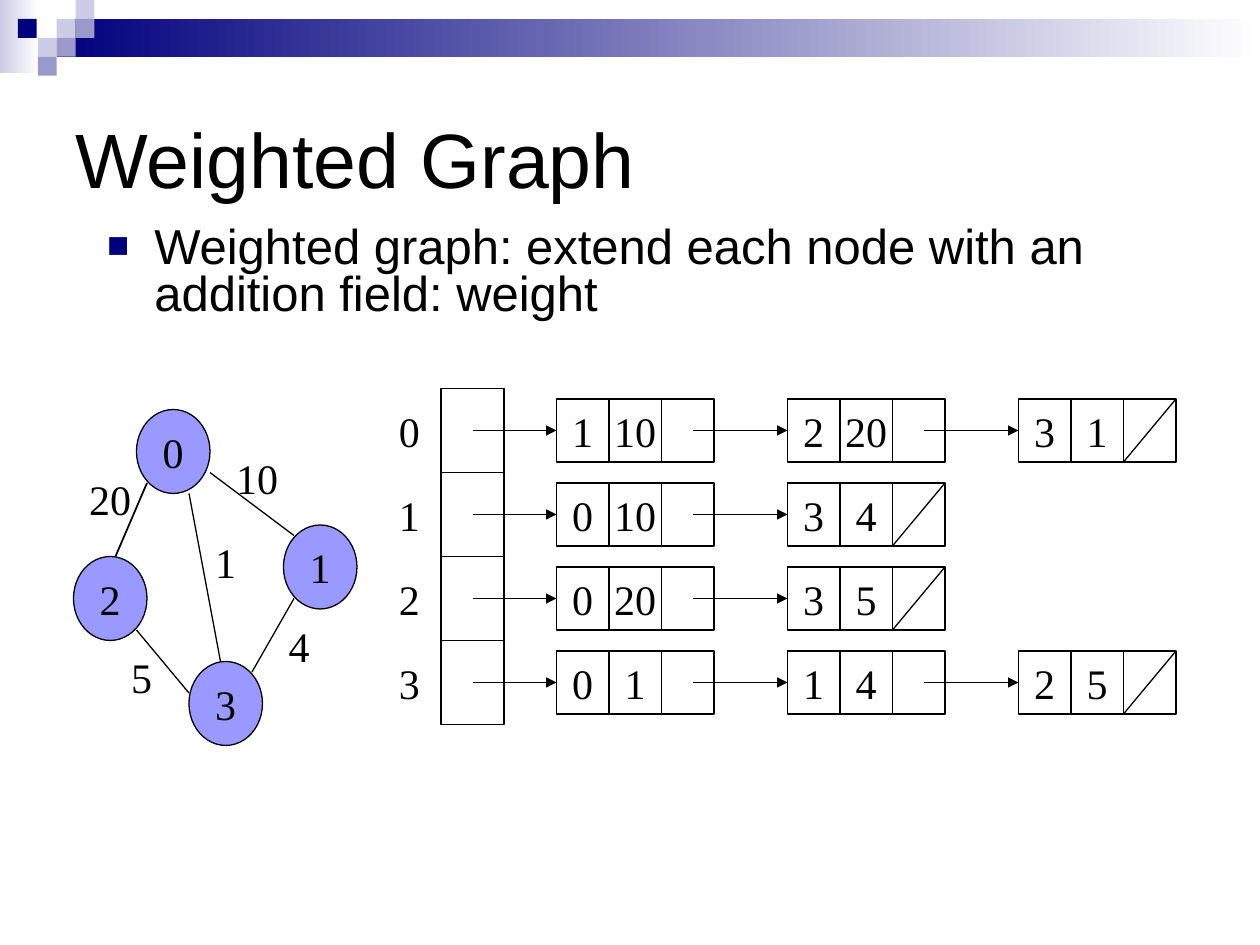
from dataclasses import dataclass

from lxml import etree
from pptx import Presentation
from pptx.dml.color import RGBColor
from pptx.enum.shapes import MSO_CONNECTOR, MSO_SHAPE
from pptx.enum.text import MSO_ANCHOR, MSO_AUTO_SIZE, PP_ALIGN
from pptx.oxml.ns import qn
from pptx.util import Pt

RECTANGLE, OVAL = MSO_SHAPE.RECTANGLE, MSO_SHAPE.OVAL
STRAIGHT = MSO_CONNECTOR.STRAIGHT
TOP, MIDDLE = MSO_ANCHOR.TOP, MSO_ANCHOR.MIDDLE
LEFT, CENTER = PP_ALIGN.LEFT, PP_ALIGN.CENTER
NO_AUTOFIT = MSO_AUTO_SIZE.NONE

EMU_PER_PX = 7620  # 120 px to the inch


@dataclass(frozen=True)
class Theme:
    ink: str = "000000"
    paper: str = "FFFFFF"
    navy: str = "00007D"
    pale: str = "CCCCE6"
    mid: str = "9999CC"
    node: str = "9999FF"
    heading_font: str = "Arial"
    diagram_font: str = "Times New Roman"
    title_size: int = 44
    body_size: int = 28
    diagram_size: int = 24
    line_width: float = 0.75


THEME = Theme()

# Header decoration: left, top, colour of each small square
SQUARE = 18
HEADER_SQUARES = [
    (54, 18, THEME.pale), (72, 0, THEME.pale), (72, 18, THEME.mid),
    (36, 36, THEME.pale), (17, 18, THEME.navy), (54, 36, THEME.mid),
    (36, 54, THEME.mid),
]

# Graph: node positions, edges with their weights and label positions
NODE_SIZE = (70, 80)
NODES = {"0": (130, 390), "1": (270, 500), "3": (180, 630), "2": (70, 530)}
EDGES = [
    ((140, 460), (110, 530), "20", (80, 450), 1),
    ((130, 600), (180, 660), "5", (110, 620), THEME.line_width),
    ((200, 450), (280, 510), "10", (220, 430), THEME.line_width),
    ((280, 570), (240, 640), "4", (260, 590), THEME.line_width),
    ((180, 470), (210, 630), "1", (190, 510), THEME.line_width),
]
WEIGHT_SIZE = 50

# Adjacency lists: (neighbour, weight) pairs of each vertex
ADJACENCY = [
    [(1, 10), (2, 20), (3, 1)],
    [(0, 10), (3, 4)],
    [(0, 20), (3, 5)],
    [(0, 1), (1, 4), (2, 5)],
]
INDEX_LEFT, SLOT_LEFT, SLOT_TOP = 360, 420, 370
SLOT_WIDTH, SLOT_HEIGHT = 60, 80
ENTRY_LEFT, ENTRY_PITCH = 530, 220
CELL_WIDTH, CELL_HEIGHT = 50, 60
POINTER_OFFSET = 130


def px(*lengths):
    return [length * EMU_PER_PX for length in lengths]


def set_values(target, values):
    for name, value in values.items():
        setattr(target, name, value)


def write_text(shape, text, font, size, align=CENTER, anchor=MIDDLE, wrap=False):
    frame = shape.text_frame
    set_values(frame, {"auto_size": NO_AUTOFIT, "word_wrap": wrap,
                       "vertical_anchor": anchor})
    para = frame.paragraphs[0]
    para.alignment = align
    span = para.add_run()
    span.text = text
    set_values(span.font, {"name": font, "size": Pt(size)})
    span.font.color.rgb = RGBColor.from_string(THEME.ink)
    return para


def write_label(shape, text):
    write_text(shape, text, THEME.diagram_font, THEME.diagram_size)


def add_label(slide, box, text):
    write_label(slide.shapes.add_textbox(*px(*box)), text)


def add_box(slide, kind, box, fill=None, outlined=True, text=None):
    shape = slide.shapes.add_shape(kind, *px(*box))
    shape.shadow.inherit = False
    if fill:
        shape.fill.solid()
        shape.fill.fore_color.rgb = RGBColor.from_string(fill)
    else:
        shape.fill.background()
    if outlined:
        shape.line.color.rgb = RGBColor.from_string(THEME.ink)
        shape.line.width = Pt(THEME.line_width)
    else:
        shape.line.fill.background()
    if text is not None:
        write_label(shape, text)
    return shape


def add_gradient_bar(slide, box, color):
    fill = add_box(slide, RECTANGLE, box, outlined=False).fill
    fill.gradient()
    fill.gradient_angle = 180
    for stop, (position, value) in zip(fill.gradient_stops,
                                       [(0, THEME.paper), (1, color)]):
        stop.position = position
        stop.color.rgb = RGBColor.from_string(value)


def add_line(slide, start, end, width=THEME.line_width, arrow=False):
    line = slide.shapes.add_connector(STRAIGHT, *px(*start, *end))
    line.line.color.rgb = RGBColor.from_string(THEME.ink)
    line.line.width = Pt(width)
    if arrow:
        etree.SubElement(line.line._get_or_add_ln(), qn("a:tailEnd"), type="triangle")
    etree.SubElement(line._element.spPr, qn("a:effectLst"))


def add_square_bullet(para):
    properties = para._p.get_or_add_pPr()
    set_values(properties, {"marL": 45 * EMU_PER_PX, "indent": -45 * EMU_PER_PX})
    color = etree.SubElement(properties, qn("a:buClr"))
    etree.SubElement(color, qn("a:srgbClr"), val=THEME.navy)
    etree.SubElement(properties, qn("a:buSzPct"), val="75000")
    etree.SubElement(properties, qn("a:buFont"), typeface=THEME.heading_font)
    etree.SubElement(properties, qn("a:buChar"), char="■")


def place(shape, box):
    set_values(shape, dict(zip(("left", "top", "width", "height"), px(*box))))


def add_header(slide):
    add_gradient_bar(slide, (0, 0, 37, 70), THEME.pale)
    add_gradient_bar(slide, (54, 18, 1146, 36), THEME.navy)
    for left, top, color in HEADER_SQUARES:
        add_box(slide, RECTANGLE, (left, top, SQUARE, SQUARE), color, outlined=False)


def fill_placeholders(slide):
    title, body = slide.shapes.title, slide.placeholders[1]
    place(title, (60, 60, 1080, 180))
    write_text(title, "Weighted Graph", THEME.heading_font, THEME.title_size,
               LEFT, wrap=True)
    place(body, (90, 210, 1020, 110))
    para = write_text(body, "Weighted graph: extend each node with an addition field: weight",
                      THEME.heading_font, THEME.body_size, LEFT, TOP, wrap=True)
    add_square_bullet(para)
    set_values(para, {"line_spacing": 0.8, "space_before": Pt(0)})


def add_graph(slide):
    for name, position in NODES.items():
        add_box(slide, OVAL, (*position, *NODE_SIZE), THEME.node, text=name)
    for start, end, weight, position, width in EDGES:
        add_line(slide, start, end, width)
        add_label(slide, (*position, WEIGHT_SIZE, WEIGHT_SIZE), weight)


def add_adjacency_list(slide, row, entries):
    slot_top = SLOT_TOP + row * SLOT_HEIGHT
    middle = slot_top + SLOT_HEIGHT // 2
    top = middle - CELL_HEIGHT // 2
    add_box(slide, RECTANGLE, (SLOT_LEFT, slot_top, SLOT_WIDTH, SLOT_HEIGHT))
    add_label(slide, (INDEX_LEFT, slot_top, SLOT_WIDTH, SLOT_HEIGHT), str(row))

    pointer = SLOT_LEFT + SLOT_WIDTH // 2
    for position, (neighbour, weight) in enumerate(entries):
        left = ENTRY_LEFT + position * ENTRY_PITCH
        for column, text in enumerate((str(neighbour), str(weight), None)):
            cell_left = left + column * CELL_WIDTH
            add_box(slide, RECTANGLE, (cell_left, top, CELL_WIDTH, CELL_HEIGHT), text=text)
        add_line(slide, (pointer, middle), (left, middle), arrow=True)
        pointer = left + POINTER_OFFSET
    # A slash in the last pointer cell ends the list
    add_line(slide, (cell_left + CELL_WIDTH, top), (cell_left, top + CELL_HEIGHT))


def main():
    deck = Presentation()
    deck.slide_width, deck.slide_height = px(1200, 900)
    slide = deck.slides.add_slide(deck.slide_layouts[1])
    add_header(slide)
    fill_placeholders(slide)
    add_graph(slide)
    for row, entries in enumerate(ADJACENCY):
        add_adjacency_list(slide, row, entries)
    deck.save("out.pptx")


if __name__ == "__main__":
    main()
